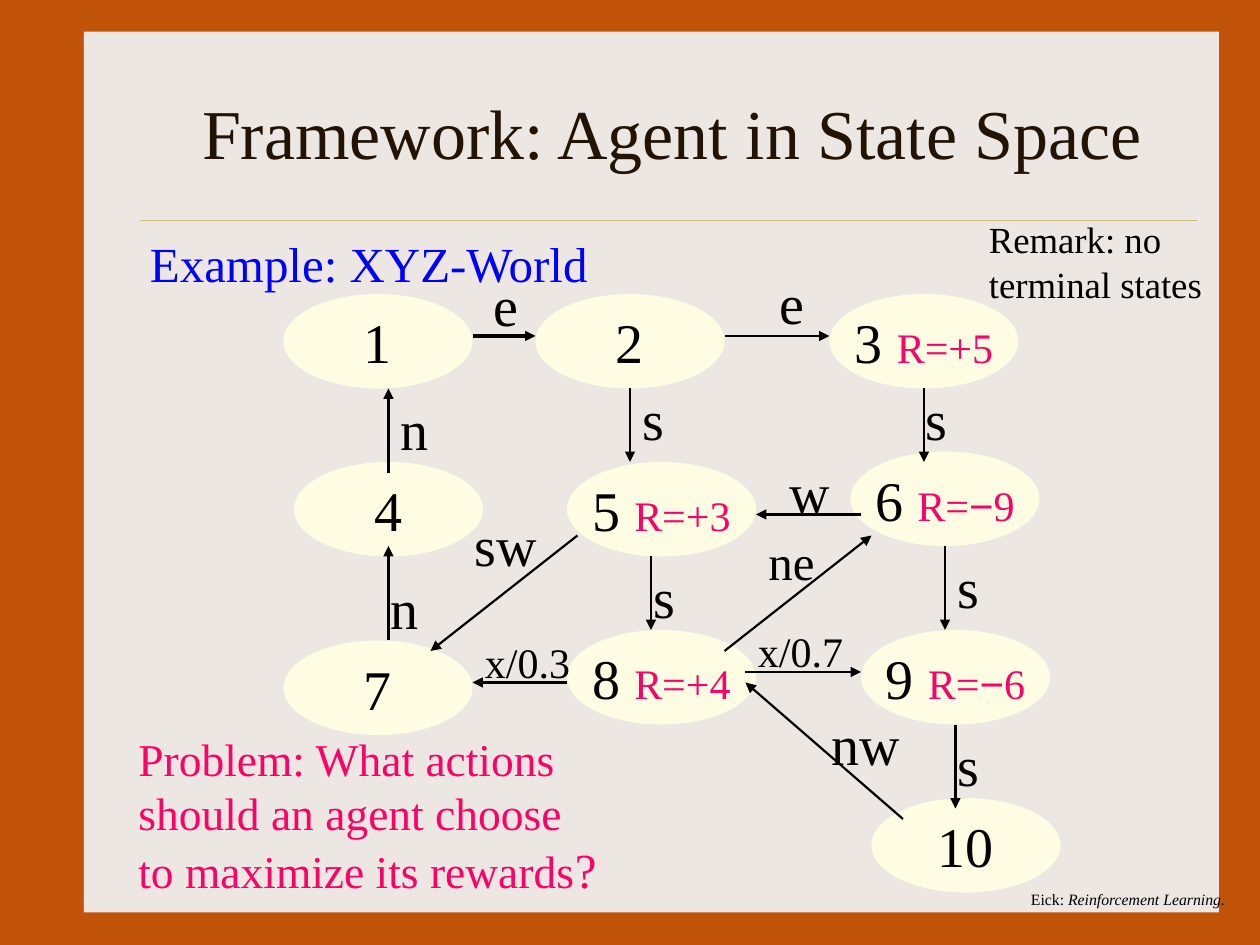
from dataclasses import dataclass

from lxml import etree
from pptx import Presentation
from pptx.dml.color import RGBColor
from pptx.enum.shapes import MSO_CONNECTOR, MSO_SHAPE
from pptx.enum.text import MSO_ANCHOR, PP_ALIGN
from pptx.oxml.ns import qn
from pptx.util import Pt

RECT, OVAL = MSO_SHAPE.RECTANGLE, MSO_SHAPE.OVAL
STRAIGHT = MSO_CONNECTOR.STRAIGHT
TOP, MIDDLE = MSO_ANCHOR.TOP, MSO_ANCHOR.MIDDLE
LEFT, CENTER = PP_ALIGN.LEFT, PP_ALIGN.CENTER
PX = 7620  # EMU per px, 120 px to the inch


@dataclass(frozen=True)
class Theme:
    border: str = "C2540A"
    panel: str = "EDE7E3"
    rule: str = "CBBD83"
    title: str = "221304"
    node: str = "FEFDE3"
    ink: str = "000000"
    accent: str = "FF0066"
    heading: str = "0000FF"
    font: str = "Times New Roman"
    symbol_font: str = "Arial"
    title_size: int = 40
    state_size: int = 32
    heading_size: int = 28
    problem_size: int = 26
    reward_size: int = 24
    remark_size: int = 21
    credit_size: int = 9


T = Theme()
NODE_W, NODE_H = 180, 90

# State: (left, top, reward), relative to the graph
STATES = {
    "1": (0, 0, ""), "2": (240, 0, ""), "3": (520, 0, "+5"),
    "4": (10, 160, ""), "5": (270, 160, "+3"), "6": (540, 150, "−9"),
    "7": (0, 330, ""), "8": (270, 320, "+4"), "9": (550, 320, "−6"),
    "10": (560, 480, ""),
}

# Action: start, end, label, label position, relative to the graph
ACTIONS = [
    ((180, 40), (240, 40), "e", (188, -28)),
    ((420, 40), (520, 40), "e", (461, -30)),
    ((610, 90), (610, 160), "s", (600, 80)),
    ((630, 240), (630, 320), "s", (630, 240)),
    ((640, 410), (640, 490), "s", (630, 410)),
    ((550, 210), (450, 210), "w", (470, 150)),
    ((590, 500), (440, 370), "nw", (510, 390)),
    ((330, 90), (330, 160), "s", (330, 80)),
    ((350, 250), (350, 320), "s", (341, 250)),
    ((100, 170), (100, 90), "n", (100, 90)),
    ((100, 330), (100, 240), "n", (90, 260)),
    ((270, 370), (180, 370), "x/0.3", (180, 320)),
    ((280, 230), (140, 340), "sw", (170, 200)),
    ((440, 360), (550, 360), "x/0.7", (440, 310)),
    ((420, 340), (560, 230), "ne", (450, 220)),
]

# Label: (width, height, type size), wide enough for one line
LABELS = {
    "e": (54, 77, T.state_size), "s": (50, 77, T.state_size),
    "n": (57, 77, T.state_size), "w": (68, 77, T.state_size),
    "nw": (96, 77, T.state_size), "sw": (90, 77, T.state_size),
    "ne": (76, 68, T.heading_size),
    "x/0.3": (114, 60, T.reward_size), "x/0.7": (114, 60, T.reward_size),
}


def rgb(color):
    return RGBColor.from_string(color)


def emu(*lengths):
    return [n * PX for n in lengths]


def run(text, size, color=T.ink, **extra):
    return text, color, {"size": Pt(size), "name": T.font, **extra}


def write(sp, paragraphs, align=LEFT, anchor=TOP, wrap=False):
    tf = sp.text_frame
    for name, value in {"word_wrap": wrap, "vertical_anchor": anchor}.items():
        setattr(tf, name, value)
    for i, runs in enumerate(paragraphs):
        p = tf.paragraphs[0] if i == 0 else tf.add_paragraph()
        p.alignment = align
        for text, color, font in runs:
            r = p.add_run()
            r.text = text
            r.font.color.rgb = rgb(color)
            for name, value in font.items():
                setattr(r.font, name, value)


def add_text(s, box, paragraphs, **layout):
    write(s.shapes.add_textbox(*emu(*box)), paragraphs, **layout)


def add_block(s, kind, box, color):
    sp = s.shapes.add_shape(kind, *emu(*box))
    sp.shadow.inherit = False
    sp.fill.solid()
    sp.fill.fore_color.rgb = rgb(color)
    sp.line.fill.background()
    return sp


def add_line(s, start, end, color, width, arrow=False):
    cxn = s.shapes.add_connector(STRAIGHT, *emu(*start, *end))
    cxn.line.color.rgb = rgb(color)
    cxn.line.width = Pt(width)
    sp_pr = cxn._element.spPr
    if arrow:
        etree.SubElement(sp_pr.find(qn("a:ln")), qn("a:tailEnd"), type="triangle")
    etree.SubElement(sp_pr, qn("a:effectLst"))


def frame(s, x, y, w, h):
    s.background.fill.solid()
    s.background.fill.fore_color.rgb = rgb(T.border)
    add_block(s, RECT, (x, y, w, h), T.panel)
    add_line(s, (x + 53, y + 180), (x + 1060, y + 180), T.rule, 0.25)
    # Credit
    add_text(s, (x + 890, y + 811, 210, 30), [[
        run("Eick: ", T.credit_size),
        run("Reinforcement Learning.", T.credit_size, italic=True)]], wrap=True)


def title(s, *box):
    add_text(s, box, [[run("Framework: Agent in State Space", T.title_size, T.title)]],
             align=CENTER, anchor=MIDDLE, wrap=True)


def state_runs(state, reward):
    if not reward:
        return [run(state, T.state_size)]
    sign, value = reward
    sign_font = T.symbol_font if sign == "−" else T.font
    return [run(state + " ", T.state_size),
            run("R=", T.reward_size, T.accent),
            run(sign, T.reward_size, T.accent, name=sign_font),
            run(value, T.reward_size, T.accent)]


def state_graph(s, x, y):
    # States with their rewards
    for state, (dx, dy, reward) in STATES.items():
        sp = add_block(s, OVAL, (x + dx, y + dy, NODE_W, NODE_H), T.node)
        write(sp, [state_runs(state, reward)], align=CENTER, anchor=MIDDLE)
    # Actions between states; the first is drawn heavier
    for i, ((x1, y1), (x2, y2), label, (dx, dy)) in enumerate(ACTIONS):
        add_line(s, (x + x1, y + y1), (x + x2, y + y2), T.ink,
                 1.25 if i else 1.75, arrow=True)
        w, h, size = LABELS[label]
        add_text(s, (x + dx, y + dy, w, h), [[run(label, size)]])


def notes_around_graph(s, x, y):
    # Heading
    add_text(s, (x + 11, y + 10, 457, 77), [[
        run("Example: XYZ-World", T.heading_size, T.heading),
        run(" ", T.state_size)]])
    # Remark
    add_text(s, (x + 810, y + 1, 228, 96), [
        [run(text, T.remark_size)] for text in ("Remark: no", "terminal states")],
        wrap=True)
    # Problem
    lines = ["Problem: What actions", "should an agent choose", "to maximize its rewards"]
    paragraphs = [[run(text, T.problem_size, T.accent)] for text in lines]
    paragraphs[-1].append(run("?", T.heading_size, T.accent))
    add_text(s, (x, y + 490, 470, 173), paragraphs)


def main():
    prs = Presentation()
    prs.slide_width, prs.slide_height = emu(1200, 900)
    s = prs.slides.add_slide(prs.slide_layouts[6])
    frame(s, 80, 30, 1081, 839)
    title(s, 140, 50, 1000, 150)
    state_graph(s, 270, 280)
    notes_around_graph(s, 120, 200)
    prs.save("out.pptx")


if __name__ == "__main__":
    main()
